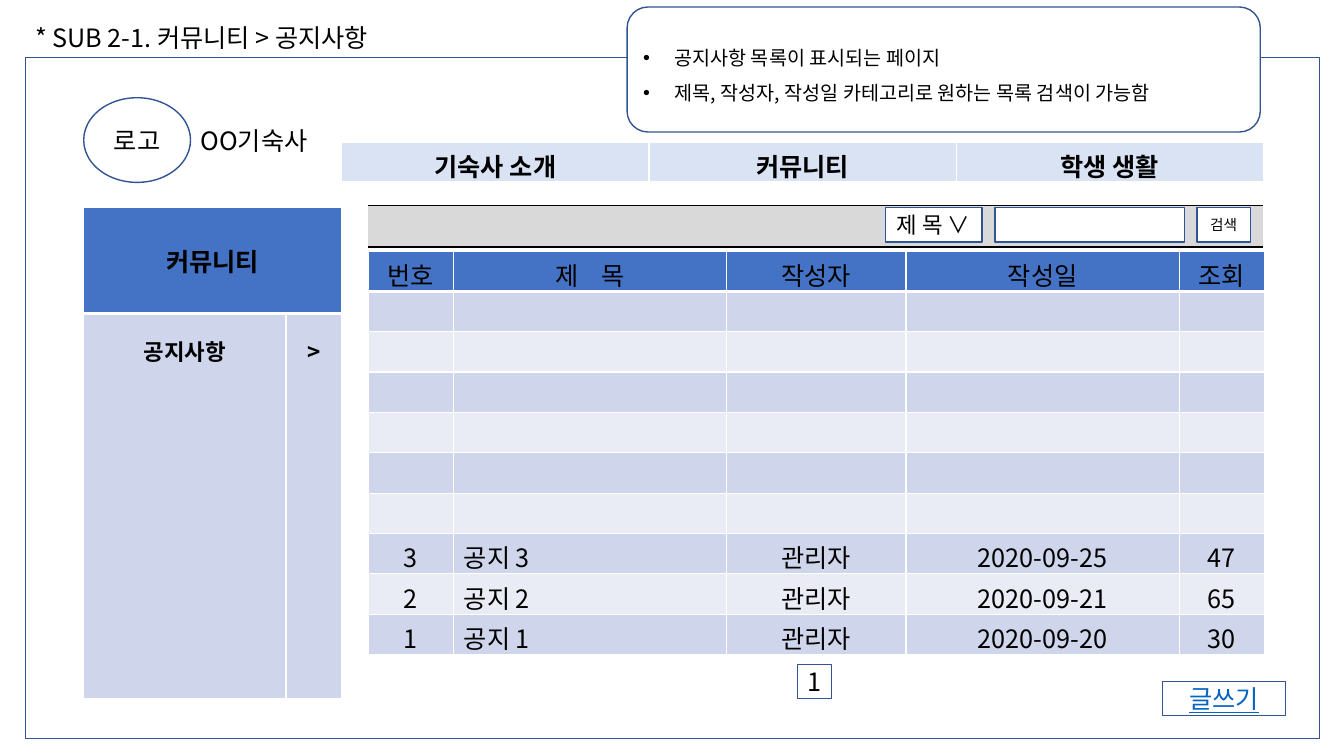
from dataclasses import dataclass
from typing import NamedTuple, Optional

from lxml.etree import SubElement
from pptx import Presentation
from pptx.dml.color import RGBColor
from pptx.enum.shapes import MSO_SHAPE
from pptx.enum.text import MSO_ANCHOR, PP_ALIGN
from pptx.oxml.ns import qn
from pptx.util import Emu, Inches, Pt


@dataclass(frozen=True)
class Theme:
    font: str = "Noto Sans CJK KR"
    ink: str = "000000"
    white: str = "FFFFFF"
    outline: str = "325491"
    link: str = "0563C1"
    header: str = "4472C4"
    navigation: str = "DAE3F3"
    search: str = "D9D9D9"
    bands: tuple = ("CFD5EA", "E9EBF5")
    body: float = 18
    menu: float = 16
    memo: float = 14
    button: float = 10.5
    thin: float = 1
    thick: float = 3


THEME = Theme()


class Box(NamedTuple):
    """Percentages of the slide's width and height."""
    left: float
    top: float
    width: float
    height: float


class TextStyle(NamedTuple):
    size: float = THEME.body
    color: str = THEME.ink
    bold: bool = False
    underline: bool = False
    align: PP_ALIGN = PP_ALIGN.CENTER
    line_spacing: float = 1.0
    bullet: bool = False
    tracking: float = 0


class Borders(NamedTuple):
    top: str = THEME.white
    bottom: str = THEME.white
    bottom_width: float = THEME.thin


@dataclass(frozen=True)
class Panel:
    box: Box
    lines: tuple = ()
    style: TextStyle = TextStyle()
    fill: Optional[str] = None
    preset: MSO_SHAPE = MSO_SHAPE.RECTANGLE


@dataclass(frozen=True)
class Label:
    box: Box
    text: str
    wrap: bool


PLAIN = TextStyle()
BOLD = TextStyle(bold=True)
LEFT = TextStyle(align=PP_ALIGN.LEFT)
MENU = TextStyle(THEME.menu, bold=True, line_spacing=1.5)
HEADER_BORDERS = Borders(bottom_width=THEME.thick)

presentation = Presentation()
presentation.slide_width = Inches(13.33)
presentation.slide_height = Inches(7.5)
slide = presentation.slides.add_slide(presentation.slide_layouts[6])


def place(box: Box) -> tuple:
    across = presentation.slide_width / 100
    down = presentation.slide_height / 100
    return (Emu(round(box.left * across)), Emu(round(box.top * down)),
            Emu(round(box.width * across)), Emu(round(box.height * down)))


def write(frame, lines: tuple, style: TextStyle) -> None:
    for index, line in enumerate(lines):
        paragraph = frame.paragraphs[0] if index == 0 else frame.add_paragraph()
        paragraph.text = line
        paragraph.alignment = style.align
        paragraph.line_spacing = style.line_spacing
        if style.bullet:
            properties = paragraph._p.get_or_add_pPr()
            properties.set("marL", str(Inches(0.31)))
            properties.set("indent", str(Inches(-0.31)))
            SubElement(properties, qn("a:buFont")).set("typeface", "Arial")
            SubElement(properties, qn("a:buChar")).set("char", "•")
        font = paragraph.font
        font.size = Pt(style.size)
        font.bold = style.bold
        font.underline = style.underline
        font.color.rgb = RGBColor.from_string(style.color)
        font.name = THEME.font
        SubElement(font._element, qn("a:ea")).set("typeface", THEME.font)
        if style.tracking:
            font._element.set("spc", str(round(style.tracking * 100)))


def draw_panel(panel: Panel) -> None:
    shape = slide.shapes.add_shape(panel.preset, *place(panel.box))
    shape.shadow.inherit = False
    if panel.fill:
        shape.fill.solid()
        shape.fill.fore_color.rgb = RGBColor.from_string(panel.fill)
    else:
        shape.fill.background()
    shape.line.color.rgb = RGBColor.from_string(THEME.outline)
    shape.line.width = Pt(THEME.thin)
    shape.text_frame.vertical_anchor = MSO_ANCHOR.MIDDLE
    write(shape.text_frame, panel.lines, panel.style)


def draw_label(label: Label) -> None:
    frame = slide.shapes.add_textbox(*place(label.box)).text_frame
    frame.word_wrap = label.wrap
    write(frame, (label.text,), LEFT)


def add_grid(box: Box, columns: tuple, rows: tuple):
    left, top, width, height = place(box)
    table = slide.shapes.add_table(len(rows), len(columns), left, top, width, height).table
    table.first_row = table.horz_banding = False
    for column, share in zip(table.columns, columns):
        column.width = Emu(round(width * share / sum(columns)))
    for row, share in zip(table.rows, rows):
        row.height = Emu(round(height * share / sum(rows)))
    return table


def fill_cell(cell, text: str, fill: str, style: TextStyle = PLAIN,
              borders: Borders = Borders(), anchor: MSO_ANCHOR = MSO_ANCHOR.TOP) -> None:
    write(cell.text_frame, (text,), style)
    cell.vertical_anchor = anchor
    properties = cell._tc.get_or_add_tcPr()
    for side, color, width in (("L", THEME.white, THEME.thin), ("R", THEME.white, THEME.thin),
                               ("T", borders.top, THEME.thin),
                               ("B", borders.bottom, borders.bottom_width)):
        line = SubElement(properties, qn(f"a:ln{side}"), w=str(Pt(width)))
        SubElement(SubElement(line, qn("a:solidFill")), qn("a:srgbClr")).set("val", color)
    cell.fill.solid()
    cell.fill.fore_color.rgb = RGBColor.from_string(fill)


draw_panel(Panel(Box(1.88, 7.6, 96.32, 90.13)))
draw_label(Label(Box(1.88, 2.27, 29.63, 5.33), "* SUB 2-1. 커뮤니티 > 공지사항", False))
draw_panel(Panel(Box(6.23, 12.93, 7.95, 11.2), ("로고",), preset=MSO_SHAPE.OVAL))
draw_label(Label(Box(14.18, 15.87, 11.25, 5.33), "OO기숙사", True))

navigation = add_grid(Box(25.43, 18.8, 68.57, 5.33), (1, 1, 1), (1,))
for cell, text in zip(navigation.iter_cells(), ("기숙사 소개", "커뮤니티", "학생 생활")):
    fill_cell(cell, text, THEME.navigation, BOLD, HEADER_BORDERS)

sidebar = add_grid(Box(6.23, 27.47, 19.2, 64.93), (2, 0.55), (1.05, 3.82))
sidebar.cell(0, 0).merge(sidebar.cell(0, 1))
fill_cell(sidebar.cell(0, 0), "커뮤니티", THEME.header, BOLD, HEADER_BORDERS, MSO_ANCHOR.MIDDLE)
for column, text in enumerate(("공지사항", ">")):
    fill_cell(sidebar.cell(1, column), text, THEME.bands[0], MENU)

HEADINGS = ("번호", "제 목", "작성자", "작성일", "조회")
NOTICES = ((3, "2020-09-25", 47), (2, "2020-09-21", 65), (1, "2020-09-20", 30))
EMPTY_ROWS = 6
records = [("",) * len(HEADINGS)] * EMPTY_ROWS + [
    (str(number), f"공지 {number}", "관리자", date, str(views)) for number, date, views in NOTICES]

notices = add_grid(Box(27.38, 33.2, 66.69, 53.33), (0.85, 2.7, 1.78, 2.71, 0.84),
                   (1,) * (len(records) + 1))
for column, heading in enumerate(HEADINGS):
    style = TextStyle(tracking=6) if column == 1 else PLAIN
    fill_cell(notices.cell(0, column), heading, THEME.header, style,
              HEADER_BORDERS, MSO_ANCHOR.MIDDLE)
for row, record in enumerate(records):
    for column, text in enumerate(record):
        fill_cell(notices.cell(row + 1, column), text, THEME.bands[row % 2],
                  LEFT if column == 1 else PLAIN)

search_bar = add_grid(Box(27.31, 27.2, 66.69, 5.47), (1,), (1,))
fill_cell(search_bar.cell(0, 0), "", THEME.search, borders=Borders(THEME.ink, THEME.ink))

for panel in (
    Panel(Box(59.34, 87.87, 2.55, 4.53), ("1",)),
    Panel(Box(74.04, 27.47, 14.1, 4.53), fill=THEME.white),
    Panel(Box(65.87, 27.47, 7.2, 4.53), ("제 목 ∨",), TextStyle(THEME.menu), THEME.white),
    Panel(Box(89.05, 27.47, 3.98, 4.53), ("검색",), TextStyle(THEME.button), THEME.white),
    Panel(Box(86.5, 90.13, 9.15, 4.53), ("글쓰기",), TextStyle(color=THEME.link, underline=True)),
    Panel(Box(46.66, 0.93, 47.11, 16.53),
          ("공지사항 목록이 표시되는 페이지",
           "제목, 작성자, 작성일 카테고리로 원하는 목록 검색이 가능함"),
          TextStyle(THEME.memo, align=PP_ALIGN.LEFT, line_spacing=1.5, bullet=True),
          THEME.white, MSO_SHAPE.ROUNDED_RECTANGLE),
):
    draw_panel(panel)

presentation.save("out.pptx")
